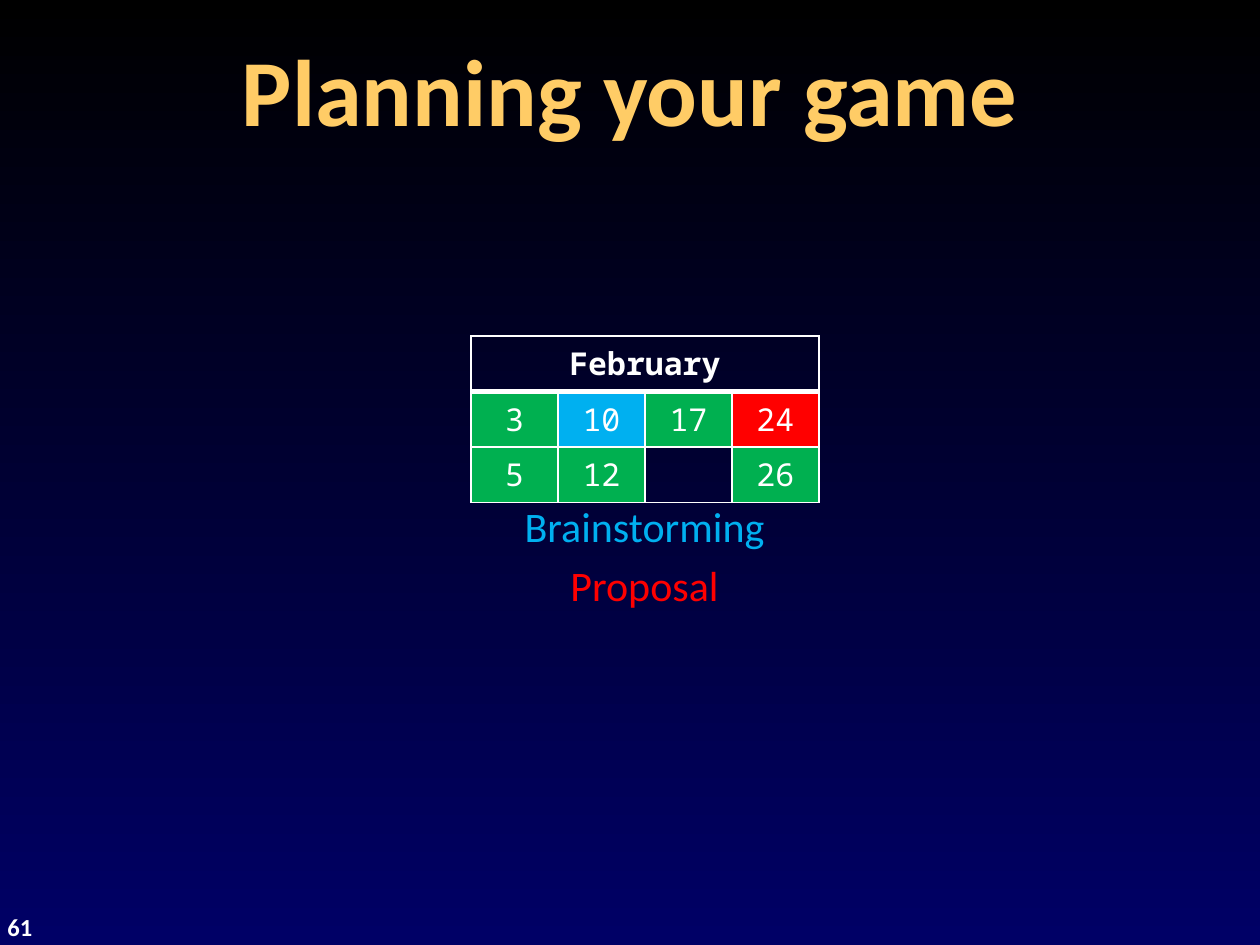
"""Build the game planning slide with its February calendar."""
from dataclasses import dataclass
from typing import Any, Optional

from lxml import etree
from pptx import Presentation
from pptx import util as u
from pptx.dml.color import RGBColor
from pptx.enum import text
from pptx.oxml.ns import qn

EMU_PER_PX = u.Inches(1) / 126
COLORS = {
    "black": "000000", "navy": "000066", "gold": "FFCC66", "white": "FFFFFF",
    "green": "00B050", "blue": "00B0F0", "red": "FF0000",
}
CENTER = text.PP_ALIGN.CENTER
LEFT = text.PP_ALIGN.LEFT


@dataclass(frozen=True)
class Line:
    text: str
    color: str
    size: int
    font: str = "Calibri"
    bold: bool = False
    align: Any = CENTER
    before: int = 0


@dataclass(frozen=True)
class Day:
    label: str
    fill: Optional[str] = None
    bold: bool = False


WEEKS = [
    [Day("February", bold=True), Day(""), Day(""), Day("")],
    [Day("3", "green"), Day("10", "blue"), Day("17", "green"), Day("24", "red")],
    [Day("5", "green"), Day("12", "green"), Day(""), Day("26", "green")],
]


def px(value: int) -> int:
    return round(value * EMU_PER_PX)


def rgb(name: str) -> RGBColor:
    return RGBColor.from_string(COLORS[name])


def write(tf: Any, lines: list[Line]) -> None:
    for i, line in enumerate(lines):
        p = tf.add_paragraph() if i else tf.paragraphs[0]
        p.alignment = line.align
        p.space_before = u.Pt(line.before)
        r = p.add_run()
        r.text = line.text
        font = {"name": line.font, "size": u.Pt(line.size), "bold": line.bold}
        for key, value in font.items():
            setattr(r.font, key, value)
        r.font.color.rgb = rgb(line.color)


def place(sp: Any, left: int, top: int, width: int, height: int) -> None:
    box = {"left": left, "top": top, "width": width, "height": height}
    for key, value in box.items():
        setattr(sp, key, px(value))


def add_text(s: Any, left: int, top: int, width: int, height: int,
             lines: list[Line]) -> None:
    sp = s.shapes.add_textbox(px(left), px(top), px(width), px(height))
    sp.text_frame.word_wrap = True
    write(sp.text_frame, lines)


def set_borders(cell: Any, widths: dict[str, int]) -> None:
    tc_pr = cell._tc.get_or_add_tcPr()
    for side, points in widths.items():
        ln = etree.SubElement(tc_pr, qn(f"a:ln{side}"), w=str(u.Pt(points)))
        fill = etree.SubElement(ln, qn("a:solidFill"))
        etree.SubElement(fill, qn("a:srgbClr"), val=COLORS["white"])


def add_calendar(s: Any, left: int, top: int, col: int, row: int) -> None:
    rows, cols = len(WEEKS), len(WEEKS[0])
    table = s.shapes.add_table(rows, cols, px(left), px(top),
                               px(col * cols), px(row * rows)).table
    table.first_row = table.horz_banding = False
    table.cell(0, 0).merge(table.cell(0, cols - 1))
    for i, week in enumerate(WEEKS):
        for j, day in enumerate(week):
            cell = table.cell(i, j)
            set_borders(cell, {"L": 1, "R": 1, "T": 3 if i == 1 else 1,
                               "B": 3 if i == 0 else 1})
            if day.fill:
                cell.fill.solid()
                cell.fill.fore_color.rgb = rgb(day.fill)
            else:
                cell.fill.background()
            if day.label:
                write(cell.text_frame, [Line(day.label, "white", 18,
                                             "Noto Sans Mono", day.bold)])


def set_background(s: Any) -> None:
    fill = s.background.fill
    fill.gradient()
    fill.gradient_angle = 270
    for stop, name, position in zip(fill.gradient_stops, ("black", "navy"), (0, 1)):
        stop.color.rgb = rgb(name)
        stop.position = position


def main() -> None:
    prs = Presentation()
    prs.slide_width, prs.slide_height = px(1260), px(945)
    s = prs.slides.add_slide(prs.slide_layouts[5])
    set_background(s)
    title = s.shapes.title
    place(title, 21, 21, 1218, 136)
    title.text_frame.vertical_anchor = text.MSO_ANCHOR.MIDDLE
    write(title.text_frame, [Line("Planning your game", "gold", 54, bold=True)])
    add_calendar(s, 471, 336, 87, 52)
    add_text(s, -5, 906, 83, 42, [Line("61", "white", 14, bold=True, align=LEFT)])
    add_text(s, 471, 494, 347, 136, [Line("Brainstorming", "blue", 24),
                                     Line("Proposal", "red", 24, before=5)])
    prs.save("out.pptx")


if __name__ == "__main__":
    main()
